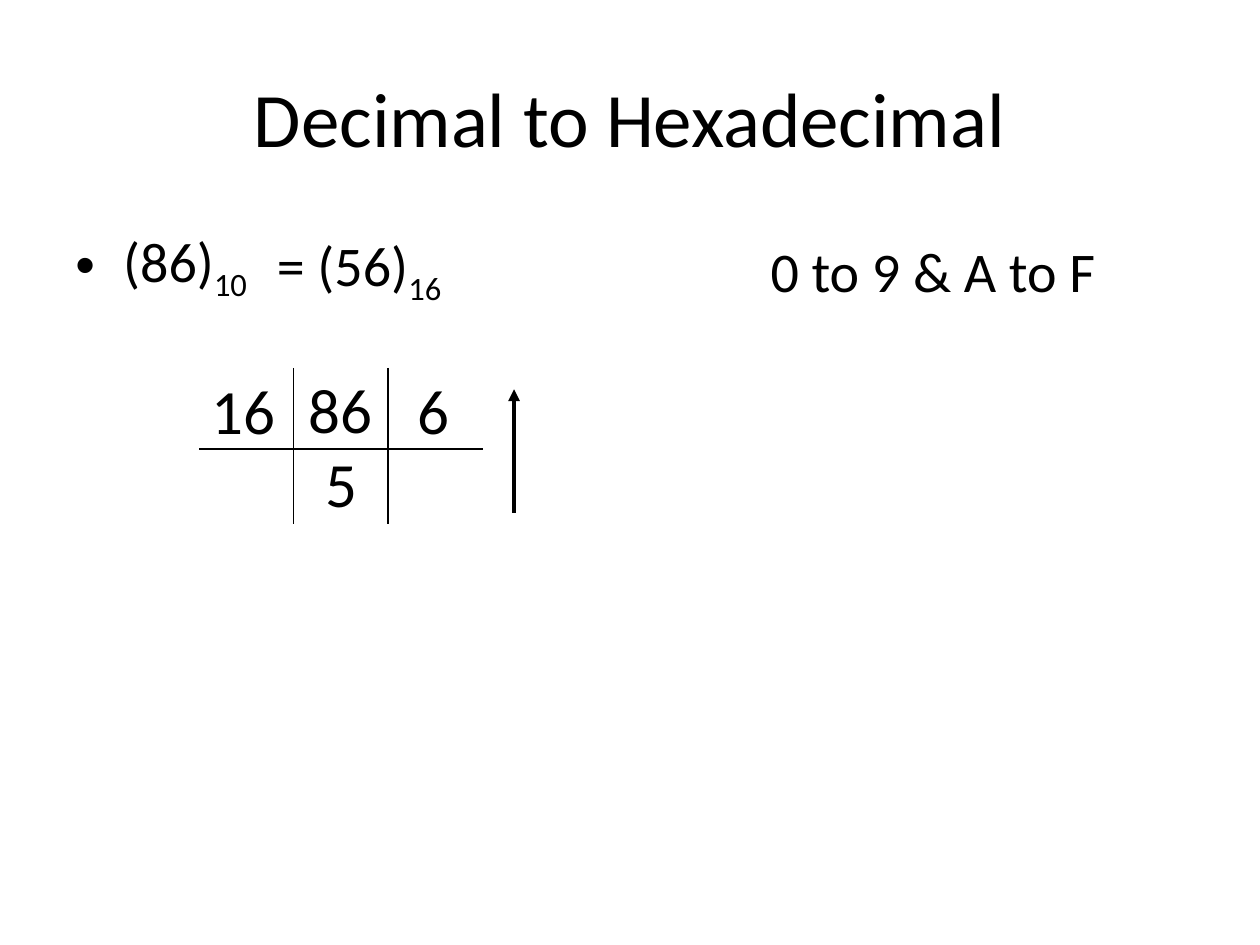
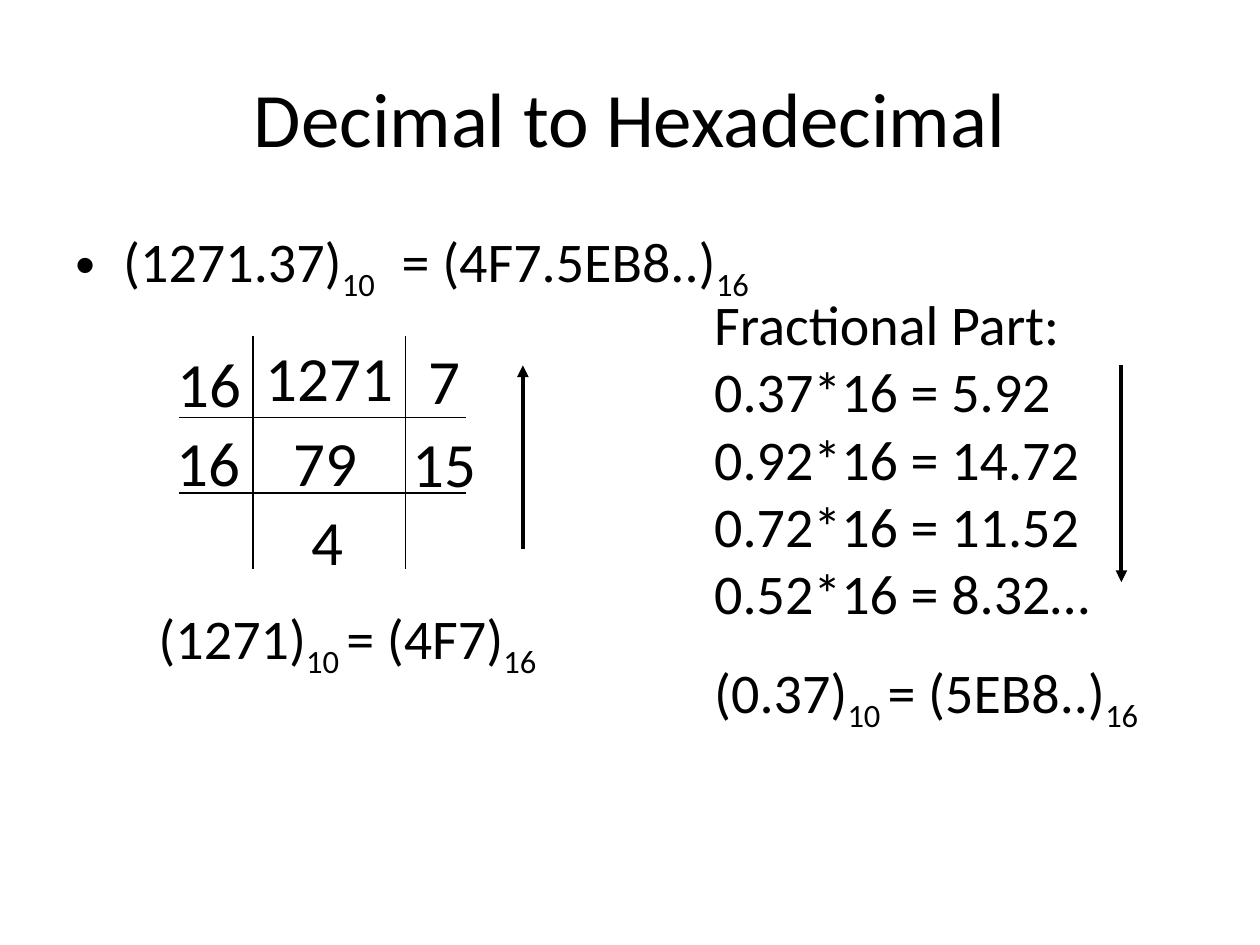
from dataclasses import dataclass

from lxml.etree import SubElement
from pptx import Presentation
from pptx.dml.color import RGBColor
from pptx.enum.shapes import MSO_CONNECTOR as Connector
from pptx.enum.text import MSO_ANCHOR as Anchor, MSO_AUTO_SIZE as AutoSize, PP_ALIGN as Align
from pptx.oxml import parse_xml
from pptx.oxml.ns import nsdecls, qn
from pptx.util import Inches, Pt


@dataclass(frozen=True)
class Theme:
    font: str = "Calibri"
    ink: str = "000000"
    title_size: int = 44
    text_size: int = 32
    digit_size: int = 36
    digit_spacing: float = 1.07
    subscript: int = -25000
    arrow_width: float = 2.25
    rule_width: float = 1


THEME = Theme()
INK = RGBColor.from_string(THEME.ink)
TITLE = "Decimal to Hexadecimal"
NO_TABLE_STYLE = "{2D5ABB26-0587-4C30-8999-92F81FD0307C}"
DIGIT_WIDTHS = {1: 4.6, 2: 7.1}
ROW_HEIGHTS = (6.4, 6, 6)


def grid(*steps):
    return [Inches(step / 10) for step in steps]


def add_run(paragraph, text, size, lowered=False):
    run = paragraph.add_run()
    run.text = text
    run.font.name = THEME.font
    run.font.size = Pt(size)
    run.font.color.rgb = INK
    if lowered:
        run._r.get_or_add_rPr().set("baseline", str(THEME.subscript))


def add_number(paragraph, number):
    paragraph.alignment = Align.CENTER
    paragraph.line_spacing = THEME.digit_spacing
    add_run(paragraph, number, THEME.digit_size)


def add_frame(slide, col, row, width, height, wrap=False):
    frame = slide.shapes.add_textbox(*grid(col, row, width, height)).text_frame
    frame.word_wrap = wrap
    if not wrap:
        frame.auto_size = AutoSize.SHAPE_TO_FIT_TEXT
    return frame


def add_expression(slide, col, row, width, *parts):
    paragraph = add_frame(slide, col, row, width, 6.4).paragraphs[0]
    for index, part in enumerate(parts):
        add_run(paragraph, part, THEME.text_size, lowered=index % 2 == 1)
    return paragraph


def add_bullet(slide, number, base):
    paragraph = add_frame(slide, 5, 17.5, 90, 49.5, wrap=True).paragraphs[0]
    properties = paragraph._p.get_or_add_pPr()
    indent = Inches(0.38)
    properties.set("marL", str(indent))
    properties.set("indent", str(-indent))
    SubElement(properties, qn("a:buFont")).set("typeface", "Arial")
    SubElement(properties, qn("a:buChar")).set("char", "•")
    add_run(paragraph, number, THEME.text_size)
    add_run(paragraph, base, THEME.text_size, lowered=True)


def add_lines(slide, col, row, width, height, lines):
    frame = add_frame(slide, col, row, width, height)
    for index, line in enumerate(lines):
        paragraph = frame.add_paragraph() if index else frame.paragraphs[0]
        add_run(paragraph, line, THEME.text_size)


def add_digits(slide, col, row, number):
    frame = add_frame(slide, col, row, DIGIT_WIDTHS[len(number)], 7.2)
    add_number(frame.paragraphs[0], number)


def add_reading_arrow(slide, col, start, end):
    arrow = slide.shapes.add_connector(
        Connector.STRAIGHT, *grid(col, start, col, end))
    arrow.line.color.rgb = INK
    arrow.line.width = Pt(THEME.arrow_width)
    SubElement(arrow.line._get_or_add_ln(), qn("a:tailEnd")).set("type", "triangle")
    SubElement(arrow._element.spPr, qn("a:effectLst"))


def rule_cell(cell, sides):
    cell.fill.background()
    properties = cell._tc.get_or_add_tcPr()
    for position, side in enumerate(sides):
        properties.insert(position, parse_xml(
            f'<a:ln{side} {nsdecls("a")} w="{Pt(THEME.rule_width)}"><a:solidFill>'
            f'<a:srgbClr val="{THEME.ink}"/></a:solidFill></a:ln{side}>'))


def add_division_grid(slide, col, row, col_widths, row_count, dividend):
    heights = ROW_HEIGHTS[:row_count]
    division = slide.shapes.add_table(
        row_count, len(col_widths),
        *grid(col, row, sum(col_widths), sum(heights))).table
    division.first_row = division.horz_banding = False
    division._tbl.tblPr.find(qn("a:tableStyleId")).text = NO_TABLE_STYLE
    for column, width in zip(division.columns, grid(*col_widths)):
        column.width = width
    for line, height in zip(division.rows, grid(*heights)):
        line.height = height
    for r in range(row_count):
        for c in range(len(col_widths)):
            inner = {"L": c > 0, "R": c < len(col_widths) - 1,
                     "T": r > 0, "B": r < row_count - 1}
            rule_cell(division.cell(r, c), [side for side in inner if inner[side]])
    start = division.cell(0, 1)
    start.margin_left = start.margin_right = Inches(0.07)
    start.margin_top = start.margin_bottom = 0
    start.vertical_anchor = Anchor.MIDDLE
    add_number(start.text_frame.paragraphs[0], dividend)


def add_conversion_slide(deck, number):
    slide = deck.slides.add_slide(deck.slide_layouts[5])
    title = slide.shapes.title
    title.left, title.top, title.width, title.height = grid(5, 3, 90, 12.5)
    title.text_frame.vertical_anchor = Anchor.MIDDLE
    heading = title.text_frame.paragraphs[0]
    heading.alignment = Align.CENTER
    add_run(heading, TITLE, THEME.title_size)
    add_bullet(slide, number, "10")
    return slide


def build_integer_slide(deck):
    slide = add_conversion_slide(deck, "(86)")
    add_expression(slide, 21, 17.8, 15.6, "= (56)", "16")
    add_reading_arrow(slide, 40.8, 40.7, 30.9)
    add_division_grid(slide, 15.8, 29.2, (7.5, 7.5, 7.5), 2, "86")
    for col, row, number in ((15.8, 28.6, "16"), (32.1, 28.6, "6"), (24.8, 34.4, "5")):
        add_digits(slide, col, row, number)
    symbols = add_expression(slide, 60, 18.3, 28.1, "0 to 9 & A to F")
    symbols.alignment = Align.CENTER


def build_fraction_slide(deck):
    slide = add_conversion_slide(deck, "(1271.37)")
    add_lines(slide, 55.7, 22.5, 33.3, 27.9, (
        "Fractional Part:", "0.37*16 = 5.92", "0.92*16 = 14.72",
        "0.72*16 = 11.52", "0.52*16 = 8.32…"))
    add_expression(slide, 11.6, 47.4, 33.3, "(1271)", "10 ", "= (4F7)", "16")
    add_reading_arrow(slide, 41.5, 43.6, 29)
    add_division_grid(slide, 14.2, 26.7, (5.9, 12.1, 4.8), 3, "1271")
    for col, row, number in (
            (13.1, 26.4, "16"), (33, 26.2, "7"), (22.3, 32.7, "79"),
            (13, 32.7, "16"), (23.7, 39, "4"), (31.7, 32.8, "15")):
        add_digits(slide, col, row, number)
    add_expression(slide, 55.7, 51.7, 37, "(0.37)", "10 ", "= (5EB8..)", "16")
    add_expression(slide, 30.9, 17.5, 30.3, "= (4F7.5EB8..)", "16")
    add_reading_arrow(slide, 89, 29, 46.2)


def main():
    deck = Presentation()
    deck.slide_width, deck.slide_height = grid(100, 75)
    build_integer_slide(deck)
    build_fraction_slide(deck)
    deck.save("out.pptx")


if __name__ == "__main__":
    main()
